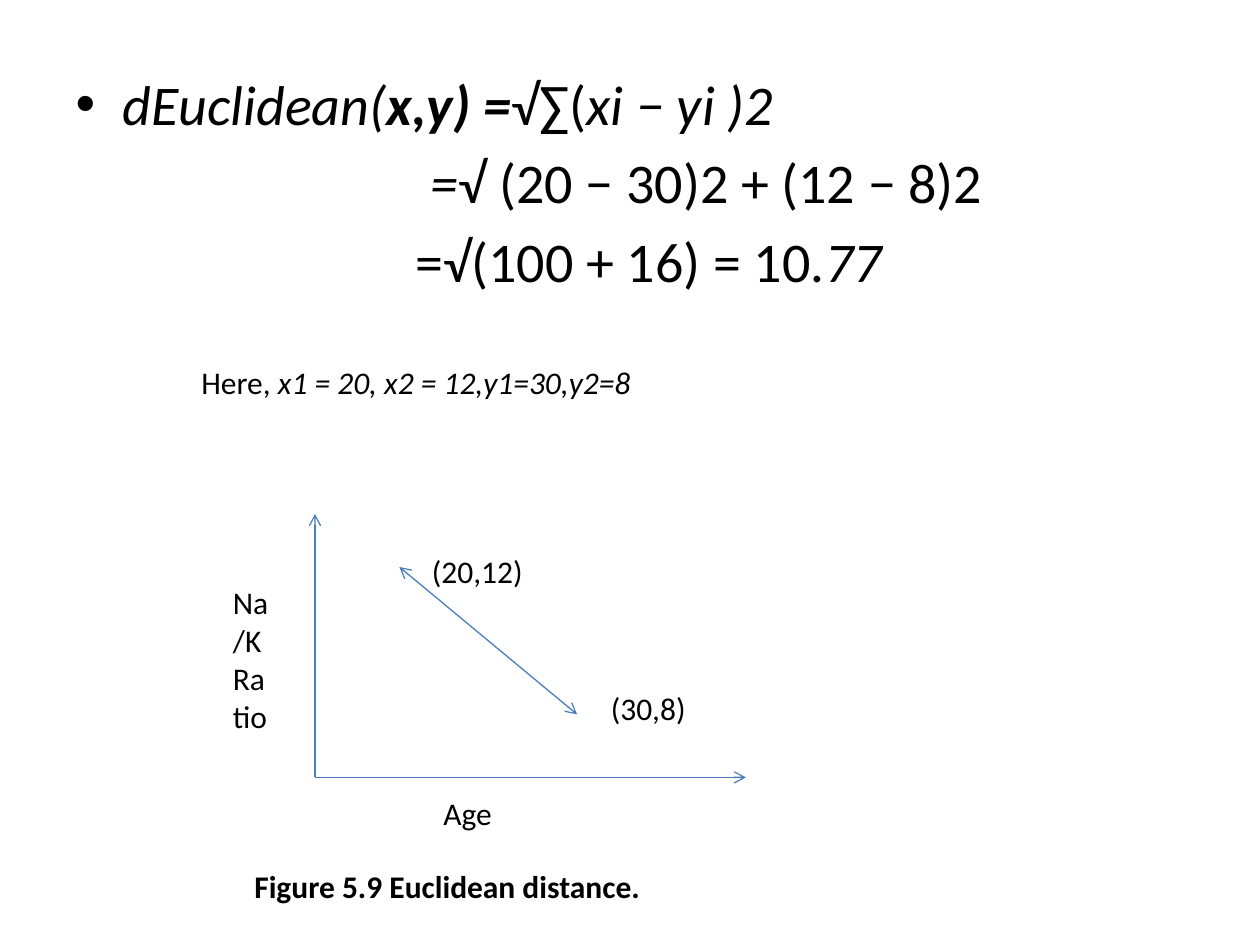
import pptx
import pptx.dml.color
import pptx.enum.shapes
import pptx.enum.text
import pptx.oxml.ns
import pptx.util
from lxml import etree

Inches = pptx.util.Inches
BLACK = pptx.dml.color.RGBColor(0x00, 0x00, 0x00)
BLUE = pptx.dml.color.RGBColor(0x4B, 0x7E, 0xBC)
FONT = "Calibri"
ORIGIN = (2.5, 6.17)


def add_run(p, text, size=18, bold=False, italic=False):
    r = p.add_run()
    r.text = text
    r.font.name = FONT
    r.font.size = pptx.util.Pt(size)
    r.font.bold = bold
    r.font.italic = italic
    r.font.color.rgb = BLACK


def indent_without_bullet(p, left):
    """Start the paragraph at left inches with its inherited bullet off."""
    pPr = p._p.get_or_add_pPr()
    pPr.set("marL", str(Inches(left)))
    pPr.set("indent", "0")
    etree.SubElement(pPr, pptx.oxml.ns.qn("a:buNone"))


def fill_formula(body):
    body.left, body.top = Inches(0.5), Inches(0.5)
    body.width, body.height = Inches(9), Inches(6.2)
    tf = body.text_frame
    tf.auto_size = pptx.enum.text.MSO_AUTO_SIZE.NONE
    p = tf.paragraphs[0]
    add_run(p, "dEuclidean(", size=32, italic=True)
    add_run(p, "x,y) =", size=32, bold=True, italic=True)
    add_run(p, "√∑(", size=32)
    add_run(p, "xi − yi )2", size=32, italic=True)

    p = tf.add_paragraph()
    indent_without_bullet(p, 2.82)
    add_run(p, "=", size=32, italic=True)
    add_run(p, "√ (20 − 30)2 + (12 − 8)2", size=32)

    p = tf.add_paragraph()
    indent_without_bullet(p, 2.7)
    add_run(p, "=√(100 + 16) = 10", size=32)
    add_run(p, ".77", size=32, italic=True)


def add_label(slide, text, left, top, width, height=0.4, wrap=False, **fmt):
    sp = slide.shapes.add_textbox(
        Inches(left), Inches(top), Inches(width), Inches(height))
    tf = sp.text_frame
    tf.word_wrap = wrap
    tf.auto_size = pptx.enum.text.MSO_AUTO_SIZE.SHAPE_TO_FIT_TEXT
    p = tf.paragraphs[0]
    add_run(p, text, **fmt)
    return p


def add_arrow(slide, start, end, both_ends=False):
    line = slide.shapes.add_connector(
        pptx.enum.shapes.MSO_CONNECTOR.STRAIGHT,
        *(Inches(v) for v in (*start, *end)))
    line.line.color.rgb = BLUE
    line.line.width = pptx.util.Pt(0.75)
    ln = line.line._get_or_add_ln()
    for tag in ("a:headEnd", "a:tailEnd") if both_ends else ("a:tailEnd",):
        etree.SubElement(ln, pptx.oxml.ns.qn(tag), type="arrow")
    etree.SubElement(line._element.spPr, pptx.oxml.ns.qn("a:effectLst"))


def add_graph(slide):
    add_label(slide, "Na/K Ratio", 1.75, 4.58, 0.5, 1.31, wrap=True)
    add_arrow(slide, ORIGIN, (2.5, 4.08))
    add_arrow(slide, ORIGIN, (5.92, 6.17))
    add_arrow(slide, (3.17, 4.5), (4.58, 5.67), both_ends=True)
    add_label(slide, "(20,12)", 3.33, 4.33, 0.93)
    add_label(slide, "(30,8)", 4.75, 5.42, 0.8)
    add_label(slide, "Age", 3.42, 6.25, 1.42, wrap=True)
    add_label(slide, "Figure 5.9 Euclidean distance.", 1.92, 6.83, 3.28, bold=True)


def main():
    prs = pptx.Presentation()
    prs.slide_width, prs.slide_height = Inches(10), Inches(7.5)
    slide = prs.slides.add_slide(prs.slide_layouts[1])
    title = slide.shapes.title._element
    title.getparent().remove(title)
    fill_formula(slide.placeholders[1])
    add_graph(slide)
    p = add_label(slide, "Here,", 1.5, 2.83, 3.65)
    add_run(p, " x1 = 20, x2 = 12,y1=30,y2=8", italic=True)
    prs.save("out.pptx")


if __name__ == "__main__":
    main()
